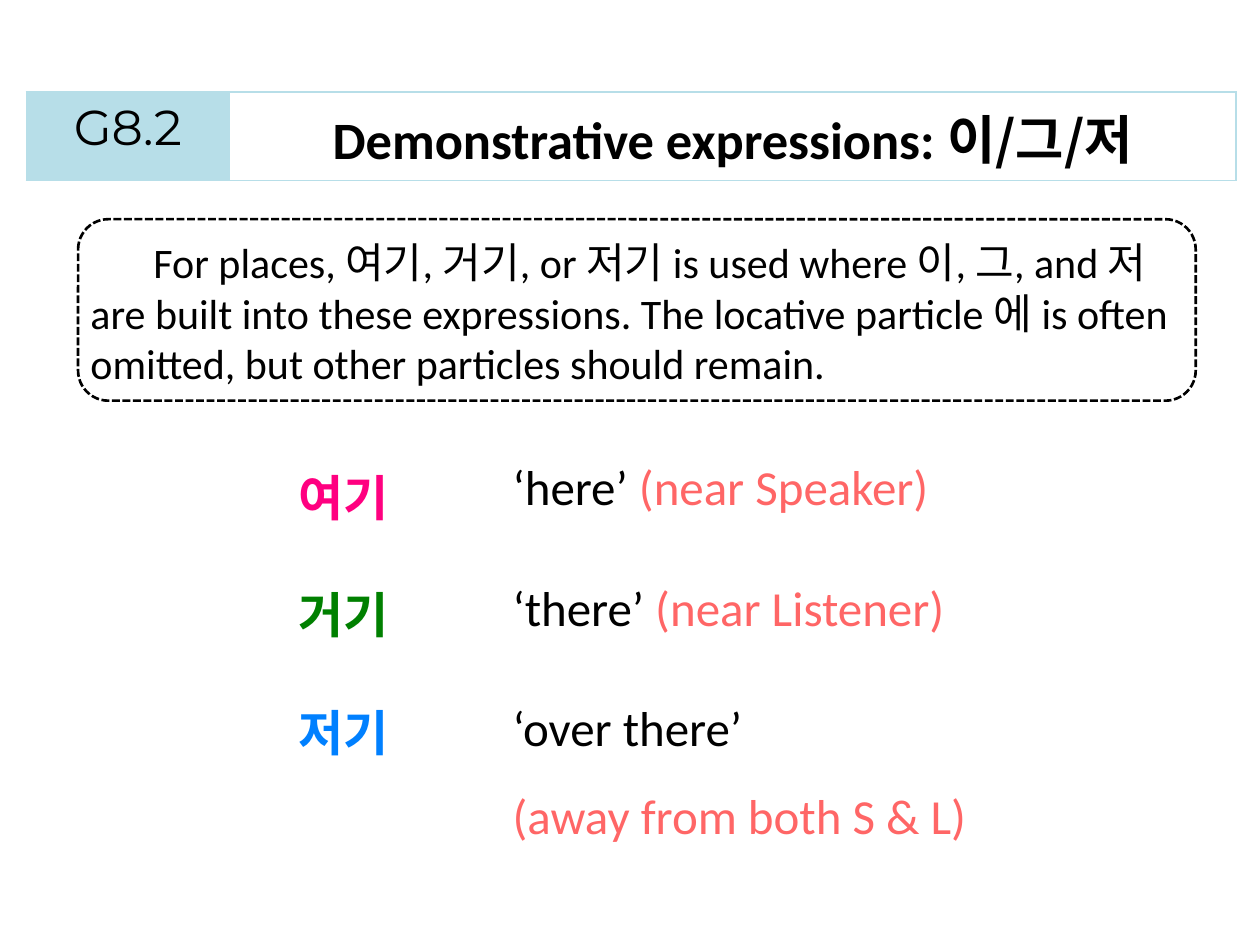
from dataclasses import dataclass

from lxml.etree import SubElement
from pptx import Presentation
from pptx.dml.color import RGBColor
from pptx.enum.dml import MSO_LINE
from pptx.enum.shapes import MSO_SHAPE
from pptx.enum.text import MSO_AUTO_SIZE, PP_ALIGN
from pptx.oxml import parse_xml
from pptx.oxml.ns import nsdecls, qn
from pptx.util import Inches, Pt

BLACK = RGBColor(0x00, 0x00, 0x00)
AQUA = RGBColor(0xB7, 0xDE, 0xE8)
PINK = RGBColor(0xFF, 0x00, 0x80)
GREEN = RGBColor(0x00, 0x80, 0x00)
BLUE = RGBColor(0x00, 0x80, 0xFF)
CORAL = RGBColor(0xFF, 0x66, 0x66)
LATIN = "Calibri"
KOREAN = "Noto Sans CJK KR"


@dataclass
class Run:
    text: str
    size: float = 28
    color: RGBColor = BLACK
    bold: bool = False
    face: str = LATIN


@dataclass
class Gloss:
    top: float
    width: float
    height: float
    lines: list[list[Run]]


RULE = (
    "For places, 여기, 거기, or 저기 is used where 이, 그, and 저 are built into "
    "these expressions. The locative particle 에 is often omitted, but other "
    "particles should remain."
)
WORDS = [
    [Run("여기", color=PINK, bold=True)],
    [Run("거기", color=GREEN, bold=True)],
    [Run("저기", color=BLUE, bold=True)],
]
GLOSSES = [
    Gloss(3.34, 3.55, 0.77, [[Run("‘here’ "), Run("(near Speaker)", color=CORAL)]]),
    Gloss(4.3, 3.67, 0.77, [[Run("‘there’ "), Run("(near Listener)", color=CORAL)]]),
    Gloss(5.25, 3.86, 1.48, [[Run("‘over there’")],
                             [Run("(away from both S & L)", color=CORAL)]]),
]


def write(frame, lines: list[list[Run]], spacing: float | None = None) -> None:
    for index, line in enumerate(lines):
        para = frame.paragraphs[0] if index == 0 else frame.add_paragraph()
        para.line_spacing = spacing
        for item in line:
            run = para.add_run()
            run.text = item.text
            font = run.font
            font.size, font.bold, font.name = Pt(item.size), item.bold, item.face
            font.color.rgb = item.color
            SubElement(run._r.get_or_add_rPr(), qn("a:ea")).set("typeface", KOREAN)


def add_text(slide, left: float, top: float, width: float, height: float,
             lines: list[list[Run]], spacing: float | None = None,
             wrap: bool = False):
    box = slide.shapes.add_textbox(
        Inches(left), Inches(top), Inches(width), Inches(height))
    frame = box.text_frame
    frame.word_wrap = wrap
    frame.auto_size = MSO_AUTO_SIZE.SHAPE_TO_FIT_TEXT
    write(frame, lines, spacing)
    return frame


def edge(cell) -> None:
    """Draw a thin aqua border on all four sides of the cell."""
    props = cell._tc.get_or_add_tcPr()
    for index, side in enumerate(("lnL", "lnR", "lnT", "lnB")):
        props.insert(index, parse_xml(
            f'<a:{side} {nsdecls("a")} w="{Pt(1)}"><a:solidFill>'
            f'<a:srgbClr val="{AQUA}"/></a:solidFill></a:{side}>'))


def add_title(slide) -> None:
    table = slide.shapes.add_table(
        1, 2, Inches(0.21), Inches(0.73), Inches(9.6), Inches(0.55)).table
    table.first_row = table.horz_banding = False
    table.columns[0].width, table.columns[1].width = Inches(1.61), Inches(7.99)
    code, title = table.cell(0, 0), table.cell(0, 1)
    code.fill.solid()
    code.fill.fore_color.rgb = AQUA
    title.fill.background()
    write(code.text_frame, [[Run("G8.2", face="Montserrat")]])
    write(title.text_frame, [[
        Run("Demonstrative expressions: ", 30, bold=True),
        Run("이/그/저", 30, bold=True, face=KOREAN)]])
    for cell in (code, title):
        cell.text_frame.paragraphs[0].alignment = PP_ALIGN.CENTER
        edge(cell)


def add_rule(slide) -> None:
    """Add the grammar rule in its dashed frame."""
    panel = slide.shapes.add_shape(
        MSO_SHAPE.ROUNDED_RECTANGLE,
        Inches(0.62), Inches(1.74), Inches(8.87), Inches(1.44))
    panel.shadow.inherit = False
    panel.fill.background()
    panel.line.color.rgb = BLACK
    panel.line.width = Pt(1.5)
    panel.line.dash_style = MSO_LINE.SQUARE_DOT
    frame = add_text(slide, 0.62, 1.83, 8.87, 1.31, [[Run(RULE, 24)]], wrap=True)
    props = frame.paragraphs[0]._p.get_or_add_pPr()
    props.set("marL", "0")
    props.set("indent", str(Inches(0.5)))


def main() -> None:
    deck = Presentation()
    deck.slide_width, deck.slide_height = Inches(10), Inches(7.5)
    slide = deck.slides.add_slide(deck.slide_layouts[6])
    add_title(slide)
    add_rule(slide)
    add_text(slide, 2.27, 3.19, 0.94, 2.85, WORDS, 2.0)
    for gloss in GLOSSES:
        add_text(slide, 3.97, gloss.top, gloss.width, gloss.height, gloss.lines, 1.5)
    deck.save("out.pptx")


if __name__ == "__main__":
    main()
